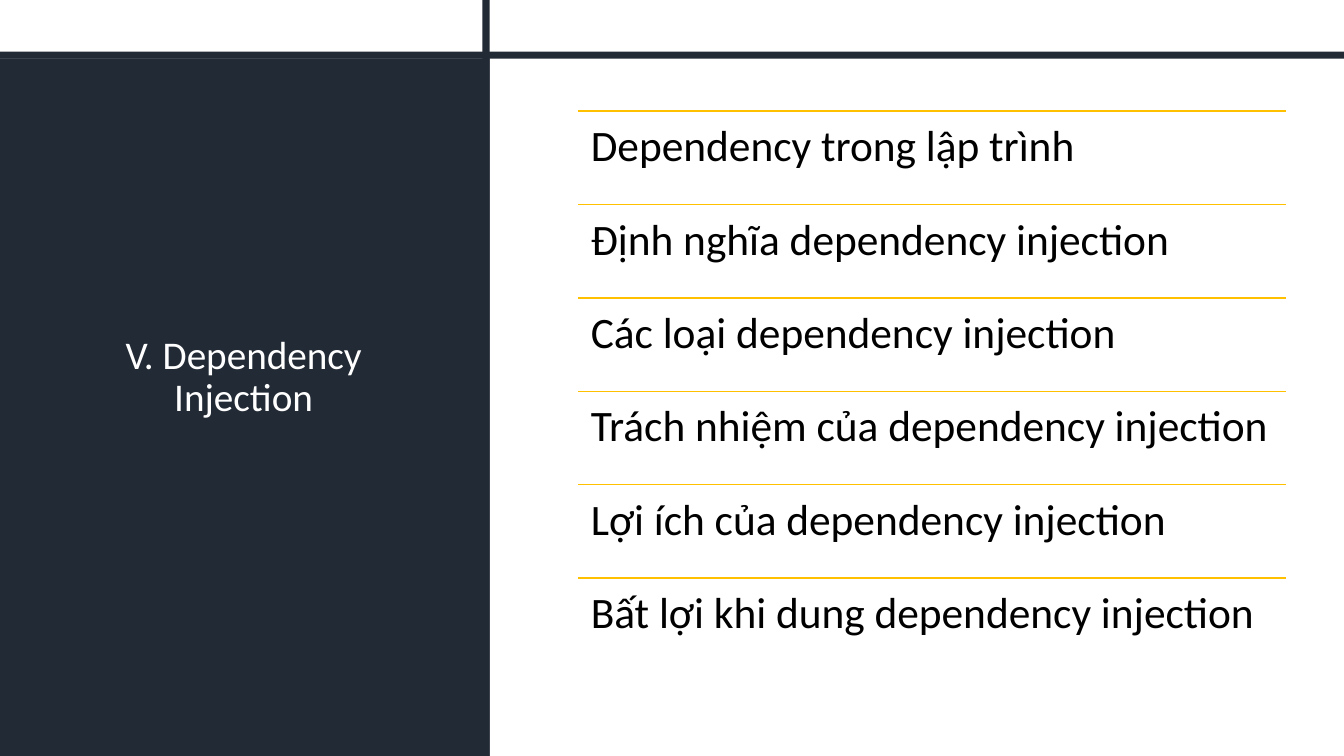
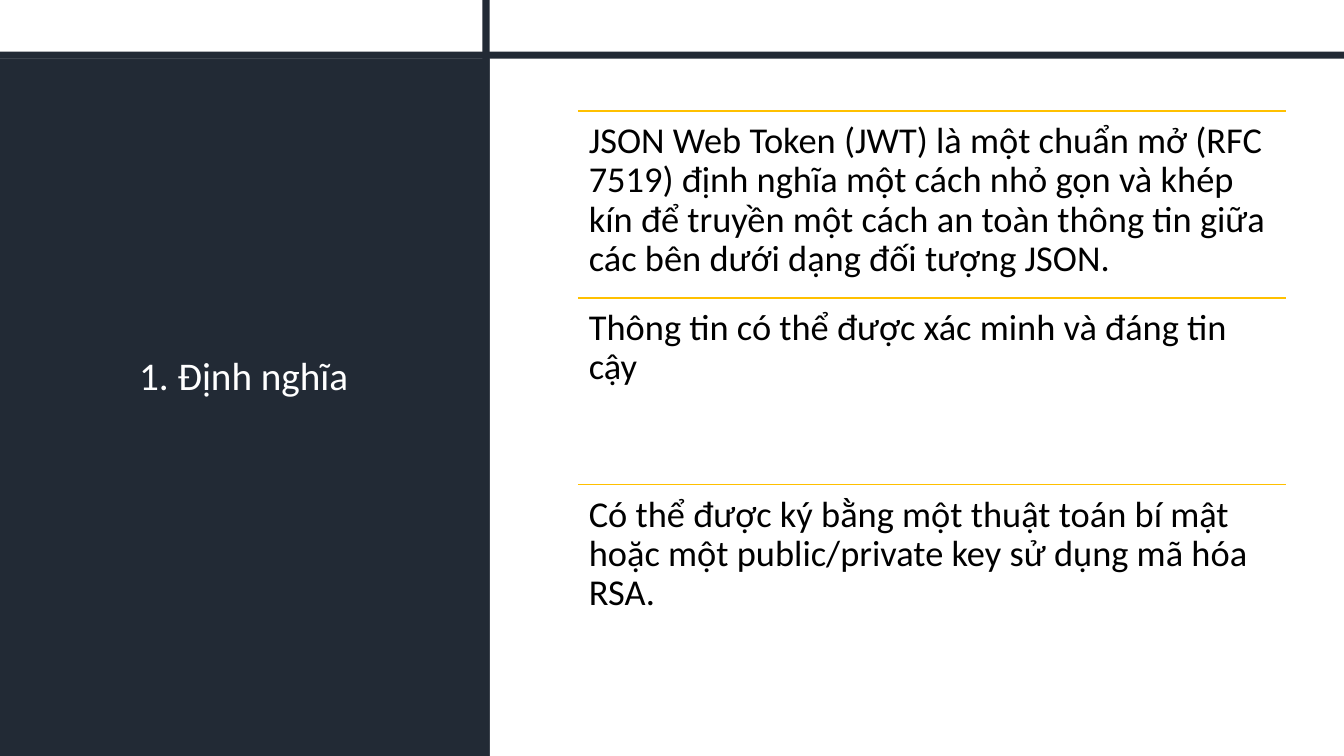
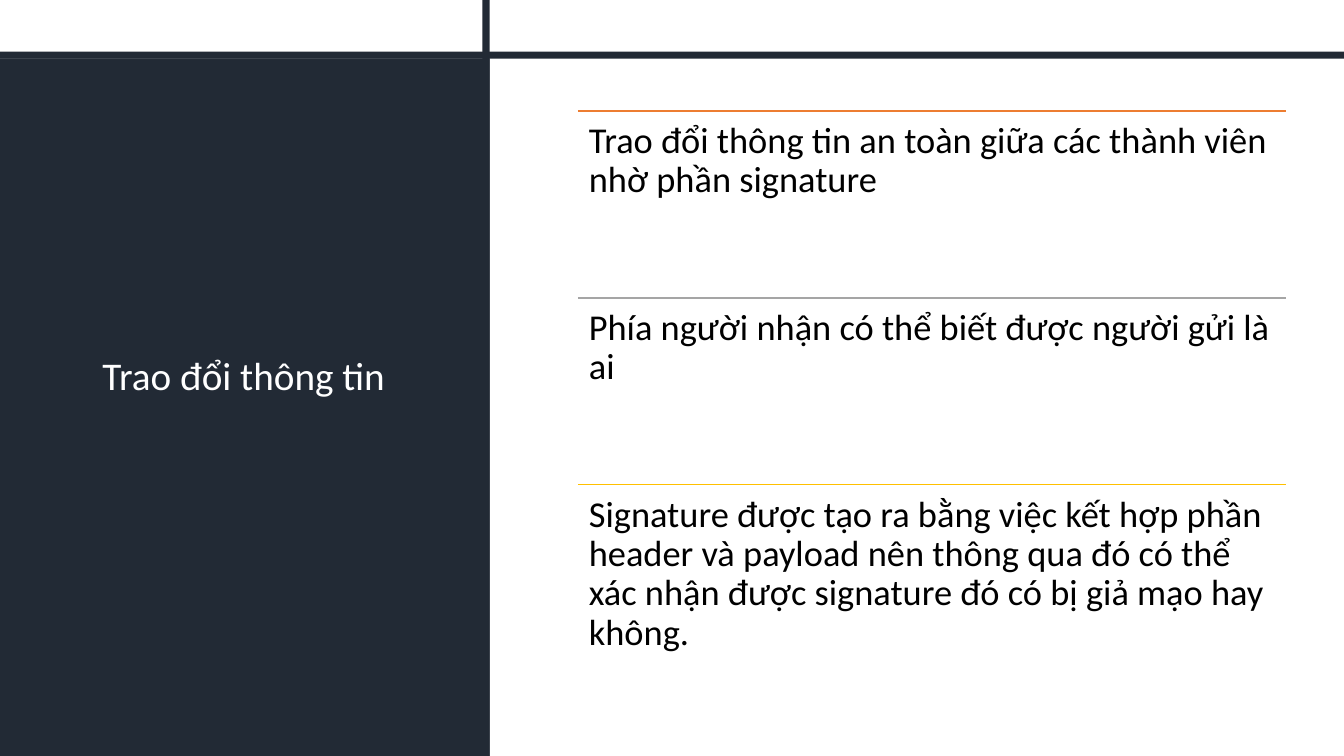
"""Build three slides with a dark title panel and a ruled list."""
from dataclasses import dataclass

from lxml import etree
from pptx import Presentation
from pptx.dml.color import RGBColor
from pptx.enum.shapes import MSO_CONNECTOR, MSO_SHAPE
from pptx.enum.text import MSO_ANCHOR, MSO_AUTO_SIZE, PP_ALIGN
from pptx.oxml.ns import qn
from pptx.util import Cm, Pt

RECT = MSO_SHAPE.RECTANGLE
STRAIGHT = MSO_CONNECTOR.STRAIGHT
MIDDLE, TOP = MSO_ANCHOR.MIDDLE, MSO_ANCHOR.TOP
CENTER, LEFT = PP_ALIGN.CENTER, PP_ALIGN.LEFT
NO_FIT = MSO_AUTO_SIZE.NONE


@dataclass(frozen=True)
class Theme:
    """Colours, fonts and type sizes of the deck."""
    font: str = "Calibri"
    dark: str = "222A35"
    white: str = "FFFFFF"
    text: str = "000000"
    gold: str = "FFC000"
    orange: str = "ED7D31"
    gray: str = "A5A5A5"
    title_size: int = 28
    large: int = 31
    medium: int = 26
    spacing: float = 0.9
    rule: int = 1


THEME = Theme()

SLIDES = [
    {
        "title": "V. Dependency Injection",
        "size": THEME.large,
        "inset": 0.33,
        "rules": [THEME.gold] * 6,
        "items": [
            "Dependency trong lập trình",
            "Định nghĩa dependency injection",
            "Các loại dependency injection",
            "Trách nhiệm của dependency injection",
            "Lợi ích của dependency injection",
            "Bất lợi khi dung dependency injection",
        ],
    },
    {
        "title": "1. Định nghĩa",
        "size": THEME.medium,
        "inset": 0.28,
        "rules": [THEME.gold] * 3,
        "items": [
            "JSON Web Token (JWT) là một chuẩn mở (RFC 7519) định nghĩa một cách "
            "nhỏ gọn và khép kín để truyền một cách an toàn thông tin giữa các "
            "bên dưới dạng đối tượng JSON.",
            "Thông tin có thể được xác minh và đáng tin cậy",
            "Có thể được ký bằng một thuật toán bí mật hoặc một public/private "
            "key sử dụng mã hóa RSA.",
        ],
    },
    {
        "title": "Trao đổi thông tin",
        "size": THEME.medium,
        "inset": 0.28,
        "rules": [THEME.orange, THEME.gray, THEME.gold],
        "items": [
            "Trao đổi thông tin an toàn giữa các thành viên nhờ phần signature",
            "Phía người nhận có thể biết được người gửi là ai",
            "Signature được tạo ra bằng việc kết hợp phần header và payload nên "
            "thông qua đó có thể xác nhận được signature đó có bị giả mạo hay "
            "không.",
        ],
    },
]

WIDTH, HEIGHT = 33.87, 19.05
BAR = 0.18
BAR_TOP = 1.3
PANEL_TOP = 1.47
PANEL_WIDTH = 12.34
BANDS = [
    (0, PANEL_TOP, PANEL_WIDTH, HEIGHT - PANEL_TOP),
    (PANEL_WIDTH - BAR, 0, BAR, HEIGHT),
    (0, BAR_TOP, WIDTH, BAR),
]
TITLE_BOX = (1.68, 2.13, 8.92, 14.78)
LIST_LEFT, LIST_TOP, LIST_WIDTH, LIST_HEIGHT = 14.56, 2.8, 17.84, 14.12


def box(values):
    """Turn centimetres into lengths."""
    return [Cm(v) for v in values]


def set_text(sp, text, size, color, align, anchor):
    """Write one styled paragraph into a shape."""
    tf = sp.text_frame
    tf.text = text
    tf.word_wrap = True
    tf.auto_size = NO_FIT
    tf.vertical_anchor = anchor
    p = tf.paragraphs[0]
    p.alignment = align
    p.line_spacing = THEME.spacing
    font = p.runs[0].font
    font.name = THEME.font
    font.size = Pt(size)
    font.color.rgb = RGBColor.from_string(color)


def add_bands(slide):
    """Draw the panel and the two crossing bars."""
    for band in BANDS:
        sp = slide.shapes.add_shape(RECT, *box(band))
        sp.shadow.inherit = False
        sp.fill.solid()
        sp.fill.fore_color.rgb = RGBColor.from_string(THEME.dark)
        sp.line.fill.background()


def add_title(slide, text):
    """Place the title on top of the panel."""
    sp = slide.shapes.title
    sp.left, sp.top, sp.width, sp.height = box(TITLE_BOX)
    set_text(sp, text, THEME.title_size, THEME.white, CENTER, MIDDLE)
    slide.shapes._spTree.append(sp._element)


def add_rule(slide, top, color):
    """Draw the line above a list item."""
    ends = box((LIST_LEFT, top, LIST_LEFT + LIST_WIDTH, top))
    line = slide.shapes.add_connector(STRAIGHT, *ends)
    line.line.color.rgb = RGBColor.from_string(color)
    line.line.width = Pt(THEME.rule)
    etree.SubElement(line._element.spPr, qn("a:effectLst"))


def add_list(slide, items, rules, size, inset):
    """Share the list height equally among the items."""
    step = LIST_HEIGHT / len(items)
    for i, (text, color) in enumerate(zip(items, rules)):
        top = LIST_TOP + i * step
        add_rule(slide, top, color)
        sp = slide.shapes.add_textbox(*box((LIST_LEFT, top, LIST_WIDTH, step)))
        set_text(sp, text, size, THEME.text, LEFT, TOP)
        tf = sp.text_frame
        tf.margin_left = tf.margin_right = Cm(inset)
        tf.margin_top = tf.margin_bottom = Cm(inset)


def main():
    """Build and save the deck."""
    prs = Presentation()
    prs.slide_width, prs.slide_height = box((WIDTH, HEIGHT))
    title_only = prs.slide_layouts[5]
    for content in SLIDES:
        slide = prs.slides.add_slide(title_only)
        add_bands(slide)
        add_title(slide, content["title"])
        add_list(slide, content["items"], content["rules"],
                 content["size"], content["inset"])
    prs.save("out.pptx")


if __name__ == "__main__":
    main()
